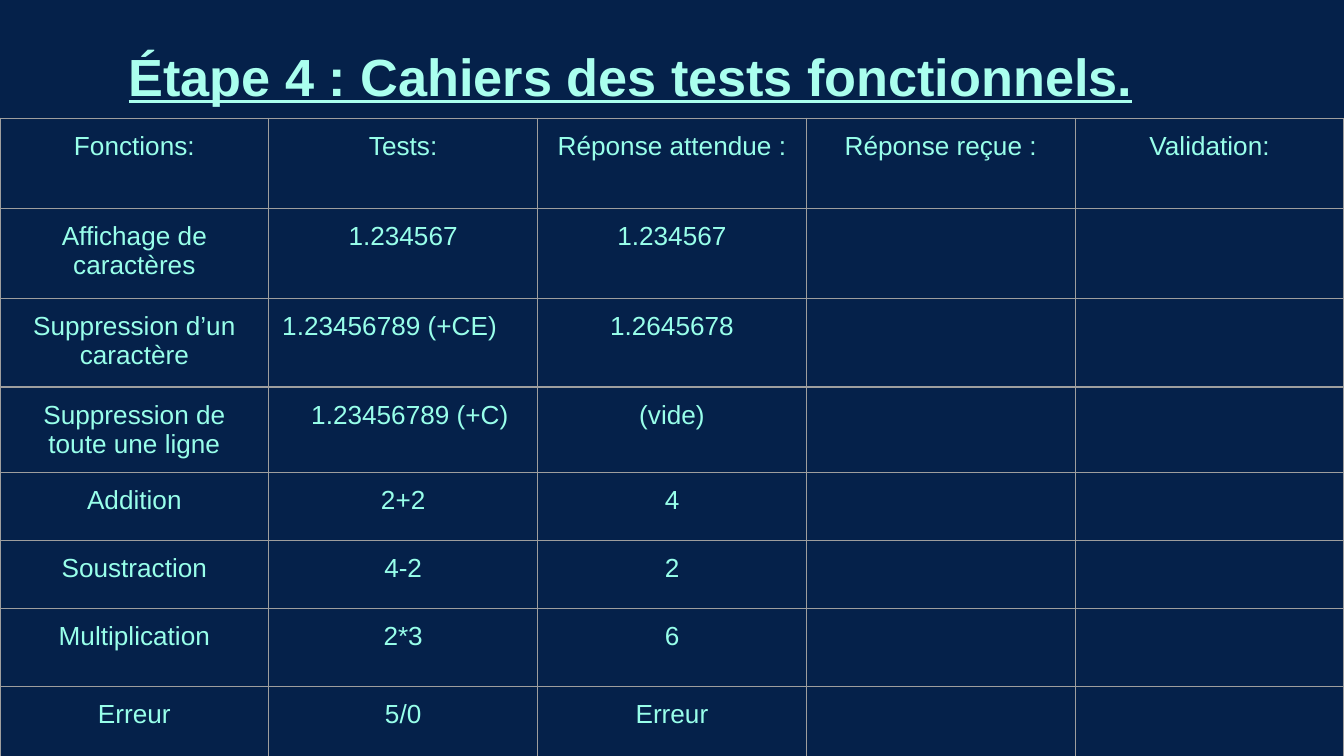
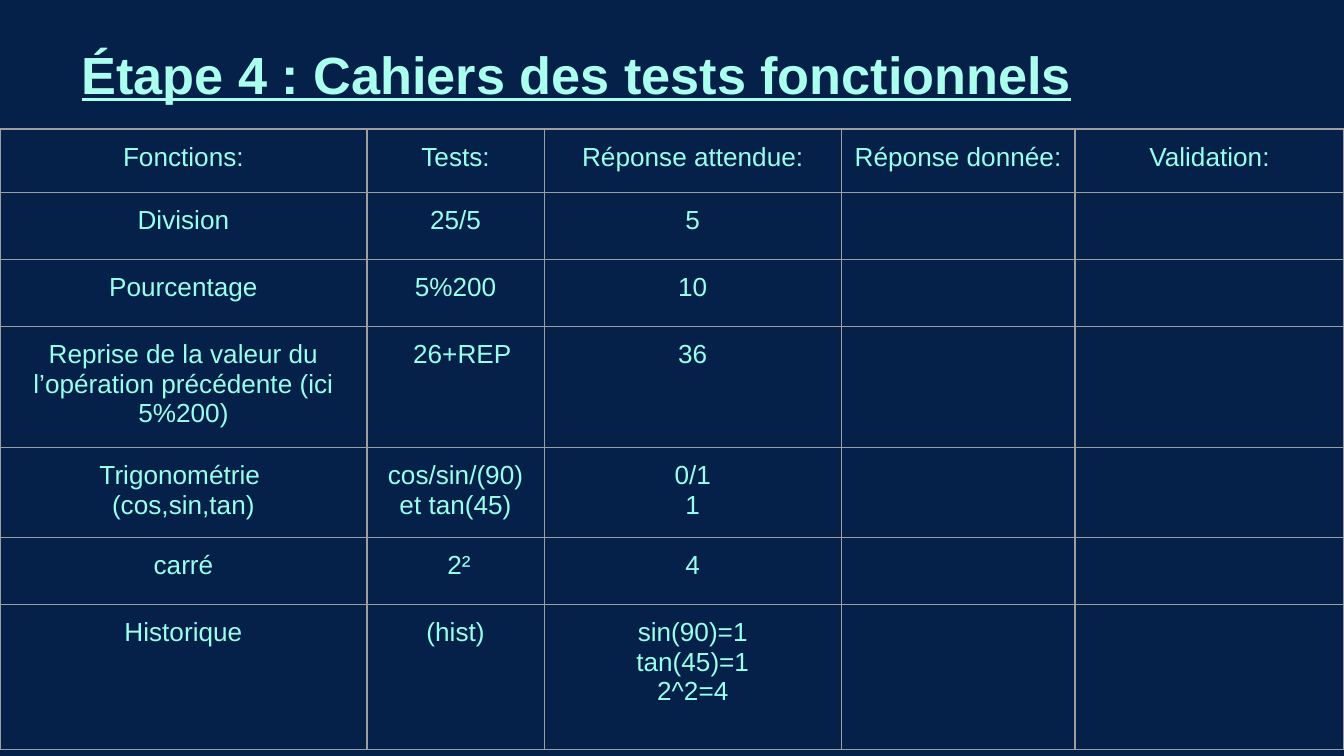
import pptx
import pptx.util
import pptx.dml.color
import pptx.enum.text
import lxml.etree

Inches, Pt = pptx.util.Inches, pptx.util.Pt
RGBColor = pptx.dml.color.RGBColor
ALIGN = pptx.enum.text.PP_ALIGN
ANCHOR = pptx.enum.text.MSO_ANCHOR

NAVY = RGBColor(0x05, 0x21, 0x4A)
MINT = RGBColor(0xAA, 0xFF, 0xEE)
AQUA = RGBColor(0x98, 0xFF, 0xEA)
GREY = RGBColor(0x9E, 0x9E, 0x9E)
FONT = "Arial"
PAD = Inches(0.1)
NS = "http://schemas.openxmlformats.org/drawingml/2006/main"

TITLE = "Étape 4 : Cahiers des tests fonctionnels"

# Cells left out at the end of a row stay empty, to be filled in by the tester.
PAGES = [
    {
        "title": TITLE + ".",
        "box": (0.63, 0.07, 8.12, 0.98),
        "align": ALIGN.CENTER,
        "top": 0.88,
        "cols": [2] * 5,
        "rows": [0.67, 0.67, 0.66, 0.62, 0.41, 0.41, 0.58, 0.58],
        "cells": [
            ["Fonctions:", "Tests:", "Réponse attendue :", "Réponse reçue :", "Validation:"],
            ["Affichage de caractères", "1.234567", "1.234567"],
            ["Suppression d’un caractère", "1.23456789 (+CE)", "1.2645678"],
            ["Suppression de toute une ligne", "1.23456789 (+C)", "(vide)"],
            ["Addition", "2+2", "4"],
            ["Soustraction", "4-2", "2"],
            ["Multiplication", "2*3", "6"],
            ["Erreur", "5/0", "Erreur"],
        ],
        "left": [(2, 1)],
        "indent": {(3, 1): 0.1},
    },
    {
        "title": TITLE,
        "box": (0.51, 0.21, 8.98, 0.67),
        "align": ALIGN.LEFT,
        "top": 0.96,
        "cols": [2.73, 1.32, 2.21, 1.74, 2],
        "rows": [0.47, 0.37, 0.35, 0.59, 0.65, 0.5, 1.08],
        "cells": [
            ["Fonctions:", "Tests:", "Réponse attendue:", "Réponse donnée:", "Validation:"],
            ["Division", "25/5", "5"],
            ["Pourcentage", "5%200", "10"],
            ["Reprise de la valeur du l’opération précédente (ici 5%200)", "26+REP", "36"],
            ["Trigonométrie \n(cos,sin,tan)", "cos/sin/(90)\net tan(45)", "0/1\n1"],
            ["carré", "2²", "4"],
            ["Historique", "(hist)", "sin(90)=1\ntan(45)=1\n2^2=4"],
        ],
        "left": [],
        "indent": {(3, 1): 0.1, (5, 1): 0.05},
    },
]


def style(para, size, color, align):
    para.alignment = align
    para.font.name = FONT
    para.font.size = Pt(size)
    para.font.color.rgb = color


def frame(cell):
    """Give a cell its four border lines and no fill."""
    props = cell._tc.get_or_add_tcPr()
    for side in "LRTB":
        line = lxml.etree.SubElement(props, f"{{{NS}}}ln{side}", w=str(Pt(0.75)))
        fill = lxml.etree.SubElement(line, f"{{{NS}}}solidFill")
        lxml.etree.SubElement(fill, f"{{{NS}}}srgbClr", val=str(GREY))
    cell.fill.background()


deck = pptx.Presentation()
deck.slide_width = Inches(10)
deck.slide_height = deck.slide_width * 9 // 16

for page in PAGES:
    slide = deck.slides.add_slide(deck.slide_layouts[6])
    slide.background.fill.solid()
    slide.background.fill.fore_color.rgb = NAVY

    rows, cols = page["rows"], page["cols"]
    grid = slide.shapes.add_table(
        len(rows), len(cols), 0, Inches(page["top"]),
        deck.slide_width, Inches(sum(rows))).table
    grid.first_row = False
    grid.horz_banding = False
    for col, width in zip(grid.columns, cols):
        col.width = Inches(width)
    for row, height in zip(grid.rows, rows):
        row.height = Inches(height)

    for r, texts in enumerate(page["cells"]):
        for c in range(len(cols)):
            cell = grid.cell(r, c)
            frame(cell)
            cell.margin_left = cell.margin_right = PAD
            cell.margin_top = cell.margin_bottom = PAD
            if c >= len(texts):
                continue
            cell.text = texts[c]
            align = ALIGN.LEFT if (r, c) in page["left"] else ALIGN.CENTER
            for para in cell.text_frame.paragraphs:
                if (r, c) in page["indent"]:
                    shift = Inches(page["indent"][r, c])
                    para._p.get_or_add_pPr().set("marL", str(shift))
                style(para, 14, AQUA, align)

    box = slide.shapes.add_textbox(*map(Inches, page["box"]))
    text = box.text_frame
    text.word_wrap = True
    text.vertical_anchor = ANCHOR.MIDDLE
    text.margin_left = text.margin_right = PAD
    para = text.paragraphs[0]
    para.text = page["title"]
    style(para, 28, MINT, page["align"])
    para.font.bold = True
    para.font.underline = True

deck.save("out.pptx")
